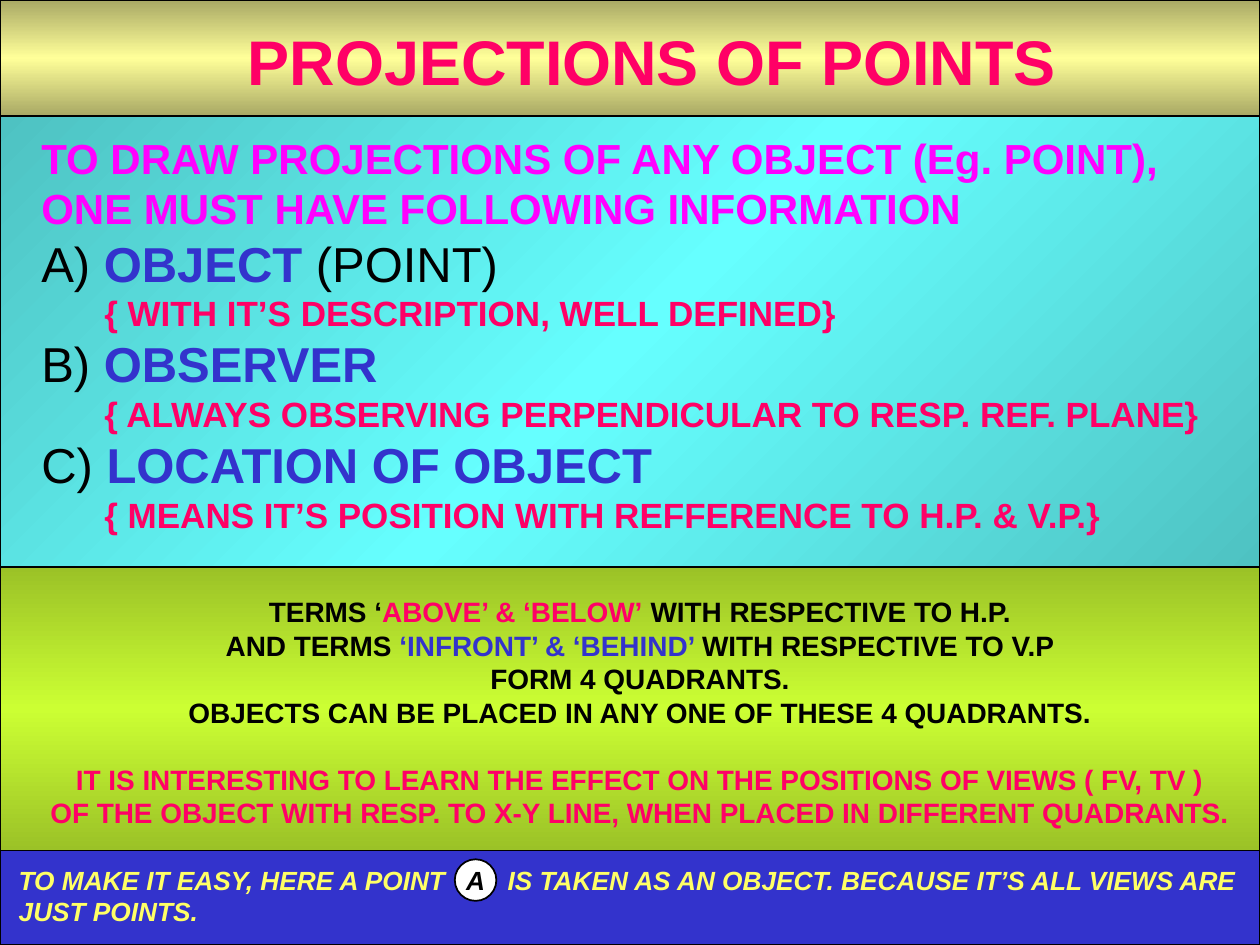
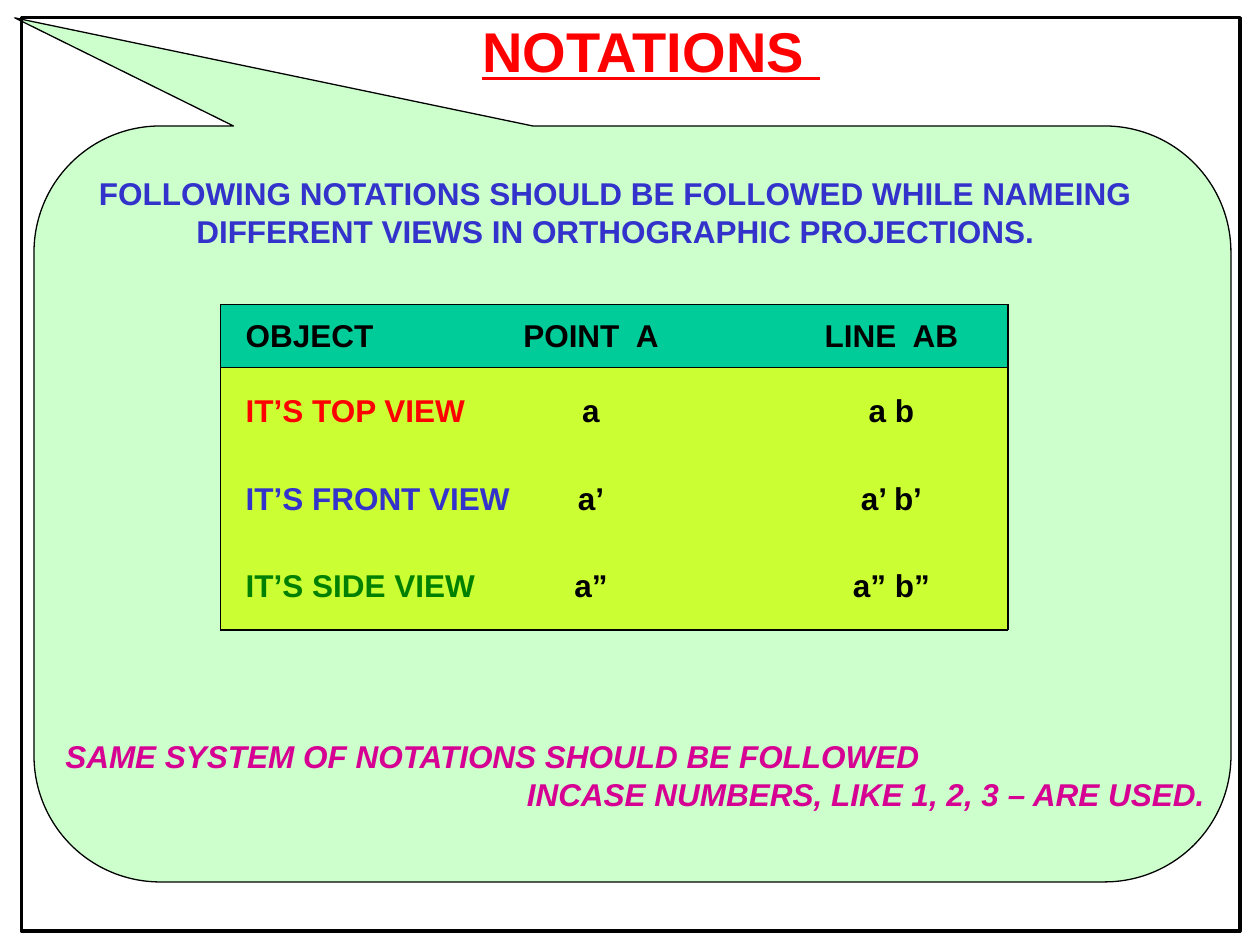
"""Build two slides on the projections of points and their notations."""
from copy import deepcopy
from dataclasses import dataclass, field
from typing import Any

from lxml.etree import SubElement
from pptx import Presentation
from pptx.dml.color import RGBColor
from pptx.enum.shapes import MSO_SHAPE
from pptx.enum.text import MSO_ANCHOR, PP_ALIGN
from pptx.oxml.ns import qn
from pptx.util import Inches, Pt

BLACK, WHITE = "000000", "FFFFFF"
BLUE, RED, GREEN = "3333CC", "FF0000", "008000"
ROSE, MAGENTA, PLUM = "FF0066", "FF00FF", "D60093"
LIME, TEAL, MINT, YELLOW = "CCFF33", "00CC99", "CCFFCC", "FFFF66"
FONT = "Arial"


@dataclass
class Span:
    """A stretch of text in one colour and weight."""

    text: str
    color: str = BLACK
    bold: bool = True


@dataclass
class Line:
    """A paragraph made of spans, with its font and layout values."""

    spans: list[Span]
    size: float
    align: PP_ALIGN = PP_ALIGN.LEFT
    indent: float = 0
    before: float = 0
    tab: float = 0
    style: dict[str, Any] = field(default_factory=dict)


@dataclass
class Panel:
    """A preset shape; a gradient runs from edge to fill and back."""

    left: float
    top: float
    width: float
    height: float
    fill: str | None
    edge: str | None = None
    angle: float = 90
    line_width: float = 0.75
    kind: MSO_SHAPE = MSO_SHAPE.RECTANGLE


def rgb(code: str) -> RGBColor:
    """Turn a hex string into a colour."""
    return RGBColor.from_string(code)


def apply(target: Any, values: dict[str, Any]) -> None:
    """Set each named attribute on the target."""
    for name, value in values.items():
        setattr(target, name, value)


def fill_gradient(shape: Any, panel: Panel) -> None:
    """Fill a shape with a symmetric gradient of three stops."""
    shape.fill.gradient()
    shape.fill.gradient_angle = 360 - panel.angle
    stops = shape.element.spPr.find(qn("a:gradFill")).find(qn("a:gsLst"))
    stops.append(deepcopy(stops[-1]))
    colors = (panel.edge, panel.fill, panel.edge)
    for index, (stop, code) in enumerate(zip(shape.fill.gradient_stops, colors)):
        stop.position = index / 2
        stop.color.rgb = rgb(code)


def add_panel(page: Any, panel: Panel) -> Any:
    """Draw one panel and return its shape."""
    place = map(Inches, (panel.left, panel.top, panel.width, panel.height))
    shape = page.shapes.add_shape(panel.kind, *place)
    shape.shadow.inherit = False
    if panel.edge:
        fill_gradient(shape, panel)
    elif panel.fill:
        shape.fill.solid()
        shape.fill.fore_color.rgb = rgb(panel.fill)
    else:
        shape.fill.background()
    shape.line.color.rgb = rgb(BLACK)
    shape.line.width = Pt(panel.line_width)
    return shape


def write_lines(frame: Any, lines: list[Line]) -> None:
    """Write paragraphs into a text frame."""
    for index, line in enumerate(lines):
        para = frame.add_paragraph() if index else frame.paragraphs[0]
        para.alignment = line.align
        if line.before:
            para.space_before = Pt(line.before)
        properties = para._p.get_or_add_pPr()
        if line.indent:
            properties.set("marL", str(Inches(line.indent)))
        if line.tab:
            tabs = SubElement(properties, qn("a:tabLst"))
            SubElement(tabs, qn("a:tab"), pos=str(Inches(line.tab)), algn="l")
        for span in line.spans:
            run = para.add_run()
            run.text = span.text
            values = {"name": FONT, "size": Pt(line.size), "bold": span.bold}
            apply(run.font, values | line.style)
            run.font.color.rgb = rgb(span.color)


def add_text(page: Any, left: float, top: float, width: float, height: float,
             lines: list[Line]) -> None:
    """Place a wrapping text box."""
    box = page.shapes.add_textbox(*map(Inches, (left, top, width, height)))
    box.text_frame.word_wrap = True
    write_lines(box.text_frame, lines)


def set_borders(cell: Any, drawn: dict[str, bool]) -> None:
    """Draw or clear each side of a table cell."""
    properties = cell._tc.get_or_add_tcPr()
    for side, visible in drawn.items():
        border = SubElement(properties, qn(f"a:{side}"), w=str(Pt(0.75)))
        if visible:
            solid = SubElement(border, qn("a:solidFill"))
            SubElement(solid, qn("a:srgbClr"), val=BLACK)
        else:
            SubElement(border, qn("a:noFill"))


def add_notation_table(page: Any) -> None:
    """Add the table of view names."""
    rows = [
        (BLACK, "OBJECT", "POINT  A", "LINE  AB"),
        (RED, "IT’S TOP VIEW", "a", "a b"),
        (BLUE, "IT’S FRONT VIEW", "a’", "a’ b’"),
        (GREEN, "IT’S SIDE VIEW", "a”", "a” b”"),
    ]
    widths, heights = (2.35, 2.05, 1.85), (0.5, 0.7, 0.69, 0.69)
    margins = ((0.2, 0), (0, 0.87), (0, 0))
    place = map(Inches, (1.75, 2.42, sum(widths), sum(heights)))
    table = page.shapes.add_table(len(rows), len(widths), *place).table
    apply(table, {"first_row": False, "horz_banding": False})
    for column, width in zip(table.columns, widths):
        column.width = Inches(width)
    for r, (color, *texts) in enumerate(rows):
        table.rows[r].height = Inches(heights[r])
        for c, text in enumerate(texts):
            cell = table.cell(r, c)
            left, right = margins[c]
            apply(cell, {"margin_left": Inches(left), "margin_right": Inches(right),
                         "vertical_anchor": MSO_ANCHOR.MIDDLE})
            set_borders(cell, {"lnL": c == 0, "lnR": c == len(widths) - 1,
                               "lnT": r < 2, "lnB": r in (0, len(rows) - 1)})
            cell.fill.solid()
            cell.fill.fore_color.rgb = rgb(LIME if r else TEAL)
            align = PP_ALIGN.CENTER if c else PP_ALIGN.LEFT
            span = Span(text, BLACK if c else color)
            write_lines(cell.text_frame, [Line([span], 18, align)])


def build_projections(page: Any) -> None:
    """Build the slide on what a projection needs."""
    bands = [
        Panel(0, 6.75, 10, 0.75, BLUE),
        Panel(0, 4.5, 10, 2.25, LIME, "9BC227"),
        Panel(0, 0.92, 10, 3.58, "66FFFF", "4EC2C2", 45),
        Panel(0, 0, 10, 0.92, "FFFF99", "A9A965"),
    ]
    for band in bands:
        add_panel(page, band)

    needs = [
        ("A) ", "OBJECT", " (POINT)", "{ WITH IT’S DESCRIPTION, WELL DEFINED}"),
        ("B) ", "OBSERVER", "", "{ ALWAYS OBSERVING PERPENDICULAR TO RESP. REF. PLANE}"),
        ("C) ", "LOCATION OF OBJECT", "",
         "{ MEANS IT’S POSITION WITH REFFERENCE TO H.P. & V.P.}"),
    ]
    lines = [Line([Span(text, MAGENTA)], 24) for text in (
        "TO DRAW PROJECTIONS OF ANY OBJECT (Eg. POINT),",
        "ONE MUST HAVE FOLLOWING INFORMATION")]
    for letter, name, note, detail in needs:
        spans = [Span(letter, bold=False), Span(name, BLUE)]
        if note:
            spans.append(Span(note, bold=False))
        lines += [Line(spans, 28), Line([Span(detail, ROSE)], 20, indent=0.5)]
    add_text(page, 0.23, 1, 9.6, 3.3, lines)

    center = PP_ALIGN.CENTER
    quadrants = [
        [Span("TERMS ‘"), Span("ABOVE’ & ‘BELOW’", ROSE),
         Span(" WITH RESPECTIVE TO H.P.")],
        [Span("AND TERMS "), Span("‘INFRONT’ & ‘BEHIND’ ", BLUE),
         Span("WITH RESPECTIVE TO V.P")],
        [Span("FORM 4 QUADRANTS.")],
        [Span("OBJECTS CAN BE PLACED IN ANY ONE OF THESE 4 QUADRANTS.")],
        [Span("IT IS INTERESTING TO LEARN THE EFFECT ON THE POSITIONS "
              "OF VIEWS ( FV, TV )", ROSE)],
        [Span("OF THE OBJECT WITH RESP. TO X-Y LINE, WHEN PLACED "
              "IN DIFFERENT QUADRANTS.", ROSE)],
    ]
    lines = [Line(spans, 16, center) for spans in quadrants]
    lines[4].before = 19
    add_text(page, 0.2, 4.67, 9.76, 1.97, lines)
    add_text(page, 1.77, 0.13, 6.81, 0.7,
             [Line([Span("PROJECTIONS OF POINTS", ROSE)], 36, center)])

    italic = {"italic": True}
    point = add_panel(page, Panel(3.61, 6.82, 0.33, 0.33, WHITE, line_width=1,
                                  kind=MSO_SHAPE.OVAL))
    apply(point.text_frame, {
        "margin_left": 0, "margin_right": 0, "margin_top": 0, "margin_bottom": 0,
        "word_wrap": False, "vertical_anchor": MSO_ANCHOR.MIDDLE})
    write_lines(point.text_frame, [Line([Span("A")], 15, center, style=italic)])
    add_text(page, 0.05, 6.81, 9.95, 0.6, [
        Line([Span("TO MAKE IT EASY, HERE A POINT\tIS TAKEN AS AN OBJECT. "
                   "BECAUSE IT’S ALL VIEWS ARE", YELLOW)], 15, tab=3.88, style=italic),
        Line([Span("JUST POINTS.", YELLOW)], 15, style=italic)])


def build_notations(page: Any) -> None:
    """Build the slide on naming the views."""
    callout = add_panel(page, Panel(0.27, 1, 9.5, 6, MINT,
                                    kind=MSO_SHAPE.ROUNDED_RECTANGULAR_CALLOUT))
    for index, value in enumerate((-0.516, -0.643, 0.167)):
        callout.adjustments[index] = value
    add_notation_table(page)
    add_text(page, 3.73, 0.08, 2.94, 0.7,
             [Line([Span("NOTATIONS ", RED)], 32, style={"underline": True})])
    add_text(page, 0.57, 1.33, 8.63, 0.7, [
        Line([Span(text, BLUE)], 18, PP_ALIGN.CENTER) for text in (
            "FOLLOWING NOTATIONS SHOULD BE FOLLOWED WHILE NAMEING",
            "DIFFERENT VIEWS IN ORTHOGRAPHIC PROJECTIONS.")])
    add_text(page, 0.42, 5.8, 9.24, 0.7, [
        Line([Span(text, PLUM)], 18, align, style={"italic": True}) for text, align in (
            ("SAME SYSTEM OF NOTATIONS SHOULD BE FOLLOWED", PP_ALIGN.LEFT),
            ("INCASE NUMBERS, LIKE 1, 2, 3 – ARE USED.", PP_ALIGN.RIGHT))])
    add_panel(page, Panel(0.17, 0.14, 9.67, 7.25, None, line_width=2))


def main() -> None:
    """Build and save the deck."""
    deck = Presentation()
    apply(deck, {"slide_width": Inches(10), "slide_height": Inches(7.5)})
    for build in (build_projections, build_notations):
        build(deck.slides.add_slide(deck.slide_layouts[6]))
    deck.save("out.pptx")


if __name__ == "__main__":
    main()
